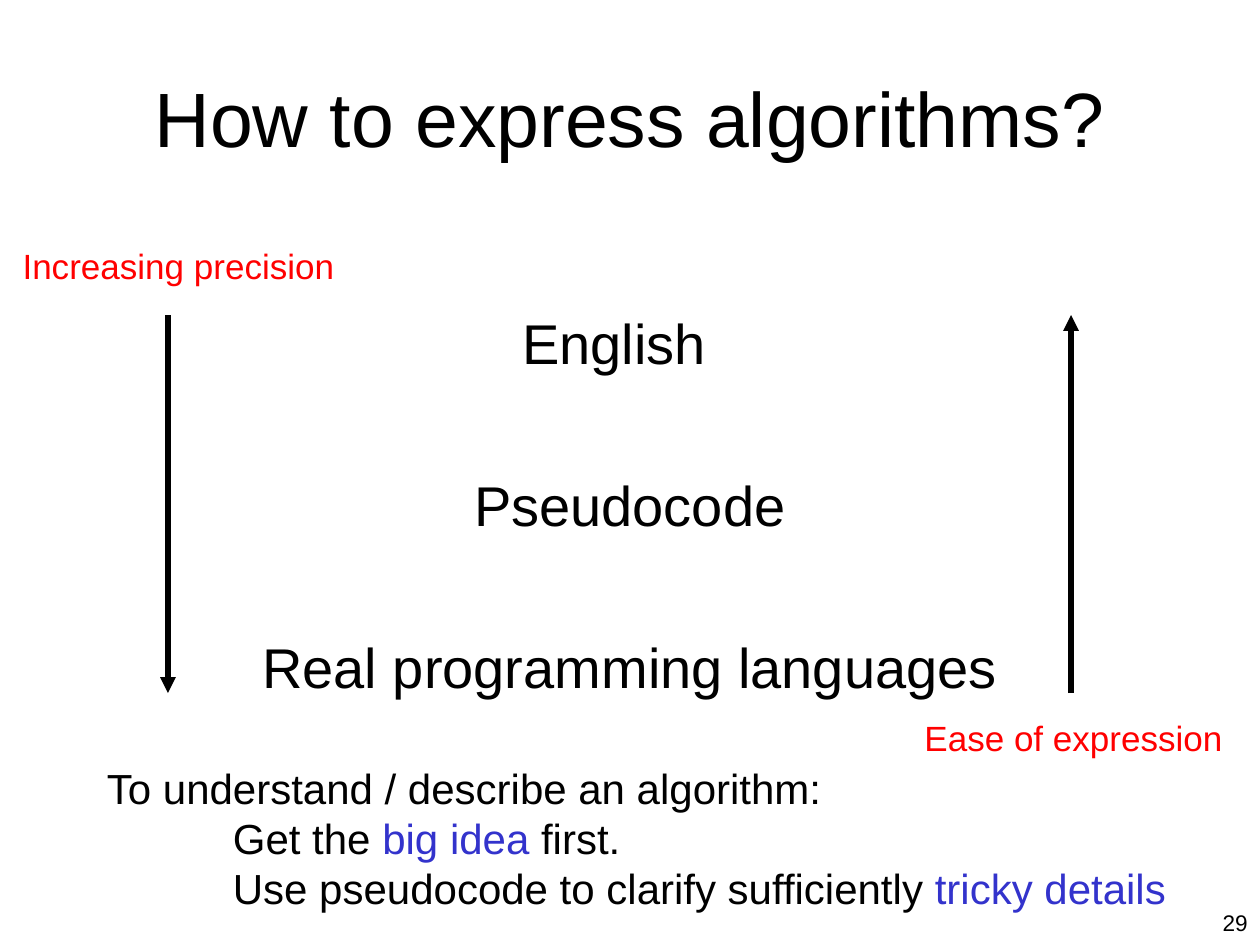
from lxml import etree
from pptx import Presentation
from pptx.dml.color import RGBColor
from pptx.enum import shapes, text
from pptx.oxml import ns
from pptx.util import Pt

COLORS = {"ink": "000000", "label": "FF0000", "accent": "3333CC"}
FONT = "Arial"


def style_run(run, size, color):
    """Set the font, size and colour of one run."""
    run.font.name = FONT
    run.font.size = Pt(size)
    run.font.color.rgb = RGBColor.from_string(COLORS[color])


def place(shape, box):
    """Move a shape to a left, top, width, height box."""
    shape.left, shape.top, shape.width, shape.height = (Pt(value) for value in box)


def add_label(slide, box, wording, size, color, alignment, wrap):
    """Add a one-line text box, which grows with its text unless it wraps."""
    label = slide.shapes.add_textbox(*(Pt(value) for value in box))
    frame = label.text_frame
    frame.word_wrap = wrap
    if not wrap:
        frame.auto_size = text.MSO_AUTO_SIZE.SHAPE_TO_FIT_TEXT
    frame.text = wording
    paragraph = frame.paragraphs[0]
    paragraph.alignment = alignment
    style_run(paragraph.runs[0], size, color)


def add_title(slide, box, wording):
    """Fill the title placeholder."""
    title = slide.shapes.title
    place(title, box)
    title.text_frame.text = wording
    title.text_frame.auto_size = text.MSO_AUTO_SIZE.NONE
    title.text_frame.vertical_anchor = text.MSO_ANCHOR.MIDDLE
    paragraph = title.text_frame.paragraphs[0]
    paragraph.alignment = text.PP_ALIGN.CENTER
    style_run(paragraph.runs[0], 44, "ink")


def add_levels(slide, box, levels):
    """Fill the body placeholder with spaced, centred levels of expression."""
    body = slide.placeholders[1]
    place(body, box)
    frame = body.text_frame
    frame.auto_size = text.MSO_AUTO_SIZE.NONE
    frame.vertical_anchor = text.MSO_ANCHOR.TOP
    frame.margin_top = Pt(50.2)
    for index, (wording, right_indent) in enumerate(levels):
        paragraph = frame.add_paragraph() if index else frame.paragraphs[0]
        paragraph.text = wording
        properties = paragraph._p.get_or_add_pPr()
        properties.set("marL", "0")
        properties.set("marR", str(Pt(right_indent)))
        properties.set("indent", "0")
        etree.SubElement(properties, ns.qn("a:buNone"))
        paragraph.alignment = text.PP_ALIGN.CENTER
        paragraph.space_before = Pt(54.1 if index else 0)
        style_run(paragraph.runs[0], 32, "ink")


def add_arrow(slide, x, start, tip):
    """Draw a vertical arrow pointing at the tip."""
    arrow = slide.shapes.add_connector(
        shapes.MSO_CONNECTOR.STRAIGHT, Pt(x), Pt(start), Pt(x), Pt(tip))
    arrow.line.color.rgb = RGBColor.from_string(COLORS["ink"])
    arrow.line.width = Pt(3)
    etree.SubElement(arrow.line._get_or_add_ln(), ns.qn("a:tailEnd"), type="triangle")
    etree.SubElement(arrow._element.spPr, ns.qn("a:effectLst"))


def add_scales(slide, box):
    """Draw the two opposing arrows with their labels around a box."""
    left, top, width, height = box
    right, bottom = left + width, top + height
    add_arrow(slide, left, top, bottom)
    add_arrow(slide, right, bottom, top)
    center = text.PP_ALIGN.CENTER
    add_label(slide, (left - 93, top - 44, 198, 31.7),
              "Increasing precision", 20, "label", center, False)
    add_label(slide, (right - 94, bottom + 10, 191, 31.7),
              "Ease of expression", 20, "label", center, False)


def add_advice(slide, box, lines):
    """Add the closing advice, with an indent below its first line."""
    advice = slide.shapes.add_textbox(*(Pt(value) for value in box))
    frame = advice.text_frame
    frame.word_wrap = True
    for index, parts in enumerate(lines):
        paragraph = frame.add_paragraph() if index else frame.paragraphs[0]
        paragraph.line_spacing = Pt(28.8)
        if index:
            paragraph._p.get_or_add_pPr().set("marL", str(Pt(72)))
        for wording, color in parts:
            run = paragraph.add_run()
            run.text = wording
            style_run(run, 24, color)


def main():
    """Build and save the slide."""
    presentation = Presentation()
    presentation.slide_width, presentation.slide_height = Pt(720), Pt(540)
    slide = presentation.slides.add_slide(presentation.slide_layouts[1])
    add_label(slide, (552, 516, 168, 24), "29", 12.9, "ink", text.PP_ALIGN.RIGHT, True)
    add_title(slide, (36, 21.6, 648, 90), "How to express algorithms?")
    add_levels(slide, (36, 126, 648, 356.4), [
        ("English", 18), ("Pseudocode", 0), ("Real programming languages", 0)])
    add_scales(slide, (96, 180, 516, 216))
    add_advice(slide, (54, 432, 636, 93.6), [
        [("To understand / describe an algorithm:", "ink")],
        [("Get the ", "ink"), ("big idea", "accent"), (" first.", "ink")],
        [("Use pseudocode to clarify sufficiently ", "ink"), ("tricky details", "accent")],
    ])
    presentation.save("out.pptx")


if __name__ == "__main__":
    main()
